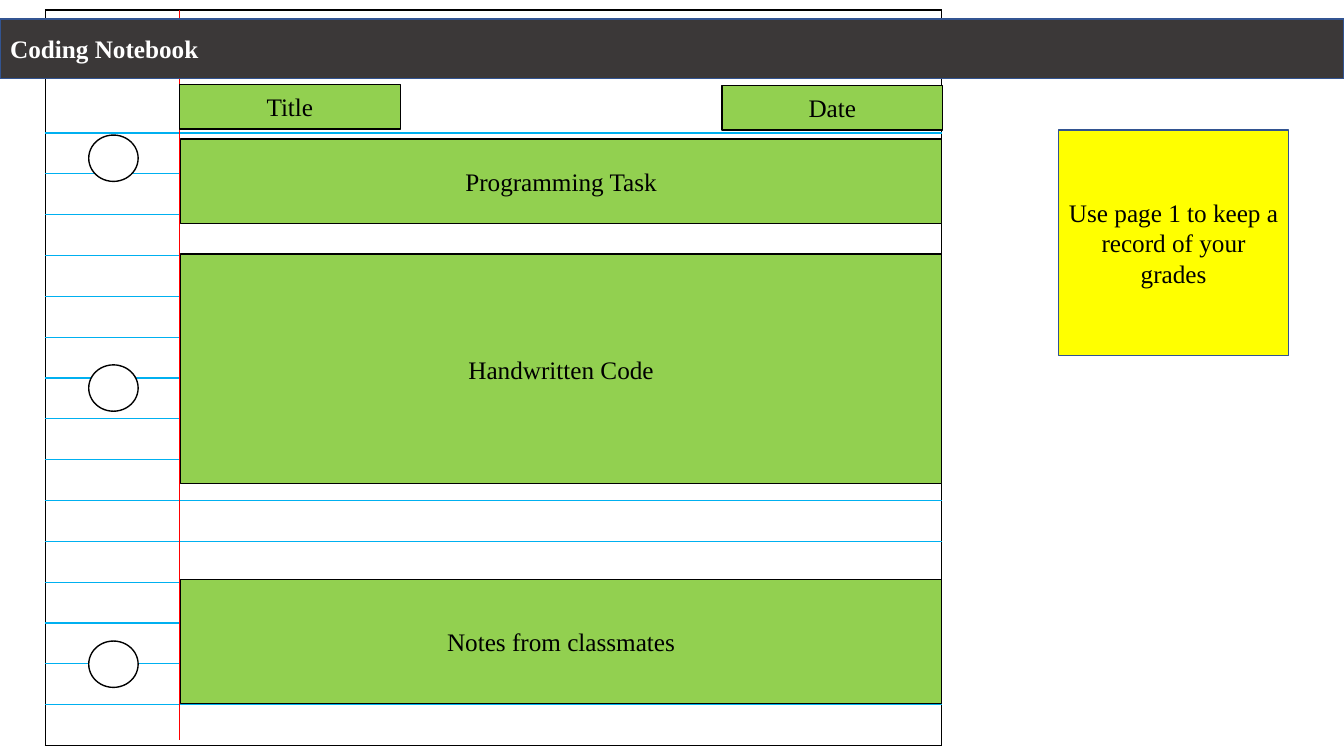
from dataclasses import dataclass

from lxml import etree
from pptx import Presentation
from pptx.dml.color import RGBColor
from pptx.enum.shapes import MSO_CONNECTOR, MSO_SHAPE
from pptx.enum.text import MSO_ANCHOR, PP_ALIGN
from pptx.oxml.ns import qn
from pptx.util import Inches, Pt

RECTANGLE, OVAL = MSO_SHAPE.RECTANGLE, MSO_SHAPE.OVAL
STRAIGHT = MSO_CONNECTOR.STRAIGHT
MIDDLE = MSO_ANCHOR.MIDDLE
LEFT, CENTER = PP_ALIGN.LEFT, PP_ALIGN.CENTER


@dataclass(frozen=True)
class Theme:
    font: str = "Times New Roman"
    size: int = 18
    black: str = "000000"
    white: str = "FFFFFF"
    green: str = "92D050"
    yellow: str = "FFFF00"
    charcoal: str = "3B3838"
    outline: str = "325491"
    rule: str = "00B0F0"
    margin: str = "FF0000"


theme = Theme()


def style_box(box, fill, line, text="", color=theme.black, align=CENTER, bold=False):
    """Give a box its fill, its outline and one centred or left-set line of text."""
    box.fill.solid()
    box.fill.fore_color.rgb = RGBColor.from_string(fill)
    box.line.color.rgb = RGBColor.from_string(line)
    box.line.width = Pt(1)
    frame = box.text_frame
    frame.word_wrap = True
    frame.vertical_anchor = MIDDLE
    frame.text = text
    para = frame.paragraphs[0]
    para.alignment = align
    for span in para.runs:
        span.font.name = theme.font
        span.font.size = Pt(theme.size)
        span.font.bold = bold
        span.font.color.rgb = RGBColor.from_string(color)


def add_box(shape_type, left, top, width, height, *style):
    box = page.shapes.add_shape(
        shape_type, Inches(left), Inches(top), Inches(width), Inches(height))
    box.shadow.inherit = False
    style_box(box, *style)


deck = Presentation()
deck.slide_width, deck.slide_height = Inches(13.33), Inches(7.5)
page = deck.slides.add_slide(deck.slide_layouts[5])

# Ruled sheet: a tall heading row above equal writing lines
row_count, sheet_height, heading_height = 16, 7.3, 1.22
line_height = (sheet_height - heading_height) / (row_count - 1)
sheet = page.shapes.add_table(
    row_count, 1, Inches(0.45), Inches(0.1), Inches(8.89), Inches(sheet_height)).table
sheet.first_row = sheet.horz_banding = False
for index, row in enumerate(sheet.rows):
    row.height = Inches(line_height if index else heading_height)
    cell = row.cells[0]
    cell.margin_top = cell.margin_bottom = 0
    borders = {
        "a:lnL": theme.black,
        "a:lnR": theme.black,
        "a:lnT": theme.rule if index else theme.black,
        "a:lnB": theme.rule if index < row_count - 1 else theme.black,
    }
    properties = cell._tc.get_or_add_tcPr()
    for side, color in borders.items():
        border = etree.SubElement(properties, qn(side), w=str(Pt(1)))
        paint = etree.SubElement(border, qn("a:solidFill"))
        etree.SubElement(paint, qn("a:srgbClr"), val=color)
    cell.fill.background()

margin_line = page.shapes.add_connector(
    STRAIGHT, Inches(1.78), Inches(0.1), Inches(1.78), Inches(7.34))
margin_line.line.color.rgb = RGBColor.from_string(theme.margin)
margin_line.line.width = Pt(0.5)
etree.SubElement(margin_line._element.spPr, qn("a:effectLst"))

# Binder holes
for top in (1.34, 3.62, 6.36):
    add_box(OVAL, 0.88, top, 0.49, 0.46, theme.white, theme.black)

# Title bar, raised above the sheet
title = page.shapes.title
title.left, title.top = Inches(0), Inches(0.19)
title.width, title.height = Inches(13.33), Inches(0.59)
style_box(title, theme.charcoal, theme.outline, "Coding Notebook", theme.white, LEFT, True)
title._element.getparent().append(title._element)

# Labelled areas of the notebook page
for label, left, top, width, height in (
    ("Date", 7.16, 0.85, 2.19, 0.44),
    ("Programming Task", 1.79, 1.38, 7.55, 0.84),
    ("Handwritten Code", 1.79, 2.52, 7.55, 2.28),
    ("Notes from classmates", 1.79, 5.75, 7.55, 1.23),
    ("Title", 1.78, 0.84, 2.19, 0.44),
):
    add_box(RECTANGLE, left, top, width, height, theme.green, theme.black, label)

# Sticky note
add_box(RECTANGLE, 10.5, 1.29, 2.28, 2.24, theme.yellow, theme.outline,
        "Use page 1 to keep a record of your grades")

deck.save("out.pptx")
